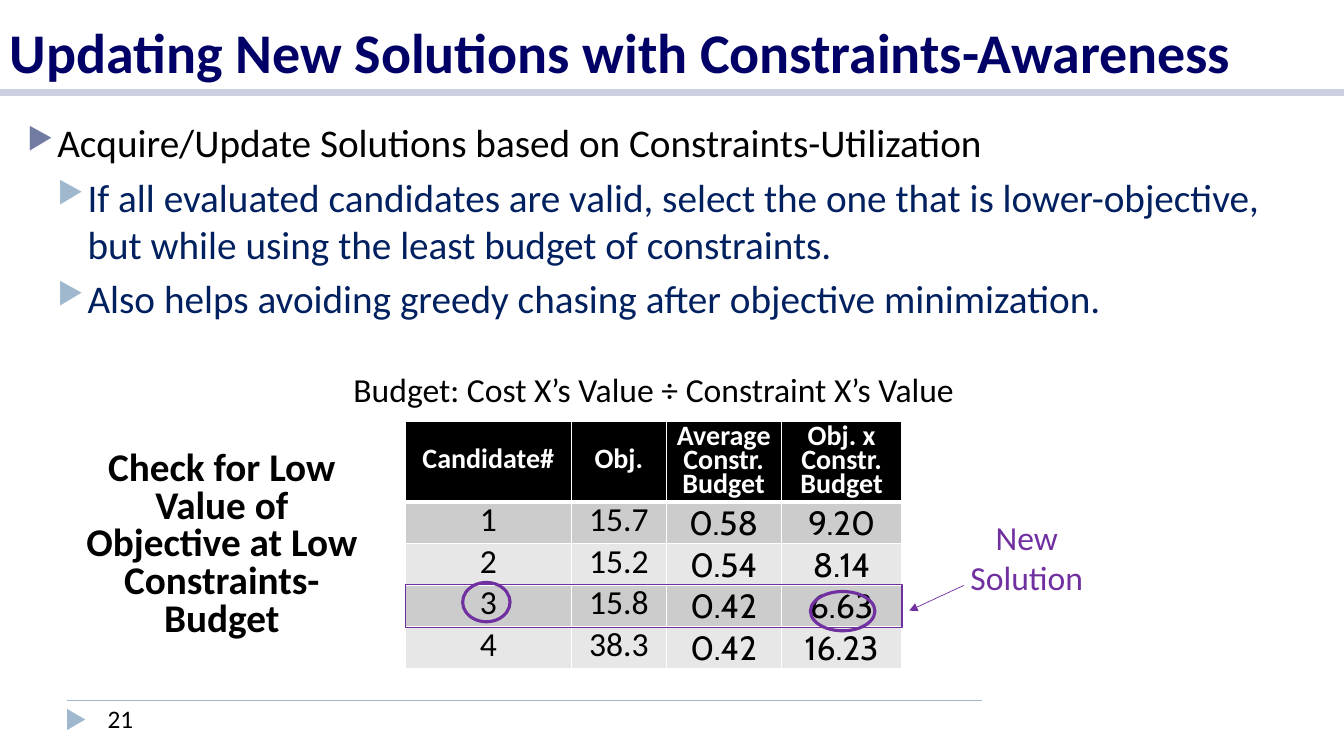
from lxml.etree import SubElement
from pptx import Presentation
from pptx.dml.color import RGBColor
from pptx.enum.shapes import MSO_CONNECTOR, MSO_SHAPE
from pptx.enum.text import MSO_ANCHOR, PP_ALIGN
from pptx.oxml.ns import qn
from pptx.util import Inches, Pt

# The slide is a grid of 40 columns by 22.5 rows of square units.
UNIT = Inches(13.33) / 40
BLACK, WHITE, PURPLE, STEEL = "000000", "FFFFFF", "7030A0", "9FB8CD"

COLUMNS = [4.95, 2.82, 3.42, 3.6]
HEADER_ROW, BODY_ROW = 2.38, 1.24
TABLE_LEFT, TABLE_TOP = 12.06, 12.54
CHOSEN_ROW = 3
HEADINGS = ["Candidate#", "Obj.", "Average\nConstr. Budget", "Obj. x Constr. Budget"]
CANDIDATES = [
    ["1", "15.7", "0.58", "9.20"],
    ["2", "15.2", "0.54", "8.14"],
    ["3", "15.8", "0.42", "6.63"],
    ["4", "38.3", "0.42", "16.23"],
]
BULLETS = [
    (0, "Acquire/Update Solutions based on Constraints-Utilization"),
    (1, "If all evaluated candidates are valid, select the one that is "
        "lower-objective, but while using the least budget of constraints."),
    (1, "Also helps avoiding greedy chasing after objective minimization."),
]
LEVEL_STYLES = [(BLACK, "727CA3"), ("002060", STEEL)]  # text and bullet colours


def grid(*units):
    return [round(unit * UNIT) for unit in units]


def color(code):
    return RGBColor.from_string(code)


def add_span(para, text, size, code=BLACK, bold=False, font="Calibri"):
    span = para.add_run()
    span.text = text
    span.font.name = font
    span.font.size = Pt(size)
    span.font.bold = bold
    span.font.color.rgb = color(code)


def add_box(page, area, wrap=True, anchor=MSO_ANCHOR.TOP):
    frame = page.shapes.add_textbox(*grid(*area)).text_frame
    frame.word_wrap = wrap
    frame.vertical_anchor = anchor
    return frame


def add_label(page, area, text, size, code=BLACK, bold=False, spacing=None,
              align=PP_ALIGN.CENTER, wrap=True, anchor=MSO_ANCHOR.TOP):
    para = add_box(page, area, wrap, anchor).paragraphs[0]
    para.alignment = align
    para.line_spacing = spacing
    for index, line in enumerate(text.split("\n")):
        if index:
            para.add_line_break()
        add_span(para, line, size, code, bold)


def add_bullet(para, level, code):
    properties = para._p.get_or_add_pPr()
    properties.set("marL", str(Inches(0.3 * (level + 1))))
    properties.set("indent", str(Inches(-0.3)))
    SubElement(SubElement(properties, qn("a:buClr")), qn("a:srgbClr"), val=code)
    SubElement(properties, qn("a:buSzPct"), val="76000")
    SubElement(properties, qn("a:buChar"), char="▶")


def add_bullets(page, area):
    frame = add_box(page, area)
    for index, (level, text) in enumerate(BULLETS):
        para = frame.add_paragraph() if index else frame.paragraphs[0]
        text_code, bullet_code = LEVEL_STYLES[level]
        add_bullet(para, level, bullet_code)
        para.level = level
        if index:
            para.space_before = Pt(5)
        add_span(para, text, 28, text_code)


def add_line(page, start, end, code, width, arrow=False):
    line = page.shapes.add_connector(MSO_CONNECTOR.STRAIGHT, *grid(*start, *end))
    line.line.color.rgb = color(code)
    line.line.width = Pt(width)
    if arrow:
        SubElement(line.line._get_or_add_ln(), qn("a:tailEnd"), type="triangle")
    SubElement(line._element.spPr, qn("a:effectLst"))


def add_figure(page, kind, area, fill=None, outline=None, width=1):
    figure = page.shapes.add_shape(kind, *grid(*area))
    figure.shadow.inherit = False
    if fill:
        figure.fill.solid()
        figure.fill.fore_color.rgb = color(fill)
    else:
        figure.fill.background()
    if outline:
        figure.line.color.rgb = color(outline)
        figure.line.width = Pt(width)
    else:
        figure.line.fill.background()
    return figure


def set_borders(cell, top, bottom):
    properties = cell._tc.get_or_add_tcPr()
    sides = [("a:lnL", 1), ("a:lnR", 1), ("a:lnT", top), ("a:lnB", bottom)]
    for position, (side, width) in enumerate(sides):
        border = properties.makeelement(qn(side), {"w": str(Pt(width))})
        SubElement(SubElement(border, qn("a:solidFill")), qn("a:srgbClr"), val=WHITE)
        properties.insert(position, border)


def fill_cell(cell, row, column, text):
    header = row == 0
    computed = not header and column >= 2
    cell.fill.solid()
    cell.fill.fore_color.rgb = color(BLACK if header else ("E7E7E7", "CCCCCC")[row % 2])
    cell.vertical_anchor = MSO_ANCHOR.MIDDLE
    if computed:
        cell.margin_left = cell.margin_right = cell.margin_top = Inches(0.01)
        cell.margin_bottom = 0
    for index, line in enumerate(text.split("\n")):
        frame = cell.text_frame
        para = frame.add_paragraph() if index else frame.paragraphs[0]
        para.alignment = PP_ALIGN.CENTER
        para.line_spacing = None if computed else 0.7
        add_span(para, line, 20 if header else 24, WHITE if header else BLACK,
                 header, "Cabin" if computed else "Calibri")
    set_borders(cell, 3 if row == 1 else 1, 3 if header else 1)


def add_candidates(page):
    rows = [HEADINGS] + CANDIDATES
    heights = [HEADER_ROW] + [BODY_ROW] * len(CANDIDATES)
    area = grid(TABLE_LEFT, TABLE_TOP, sum(COLUMNS), sum(heights))
    table = page.shapes.add_table(len(rows), len(COLUMNS), *area).table
    for column, width in zip(table.columns, grid(*COLUMNS)):
        column.width = width
    for row, height in zip(table.rows, grid(*heights)):
        row.height = height
    for row, texts in enumerate(rows):
        for column, text in enumerate(texts):
            fill_cell(table.cell(row, column), row, column, text)


def main():
    deck = Presentation()
    deck.slide_width, deck.slide_height = Inches(13.33), Inches(7.5)
    page = deck.slides.add_slide(deck.slide_layouts[6])

    add_line(page, (2, 20.85), (29.22, 20.85), STEEL, 1)
    add_line(page, (0, 2.76), (40, 2.76), "CCD0E0", 5)
    marker = add_figure(page, MSO_SHAPE.ISOSCELES_TRIANGLE,
                        (1.95, 21.15, 0.63, 0.54), fill=STEEL)
    marker.rotation = 90

    add_label(page, (0, 0, 40, 2.67), "Updating New Solutions with Constraints-Awareness",
              40, "000066", True, align=PP_ALIGN.LEFT, anchor=MSO_ANCHOR.BOTTOM)
    add_label(page, (2.91, 20.79, 4.14, 1.2), "21", 18, align=PP_ALIGN.LEFT)
    add_bullets(page, (0.51, 3.39, 37.77, 15.72))
    add_label(page, (28.56, 15.24, 4, 2.73), "New\nSolution", 24, PURPLE, wrap=False)
    add_candidates(page)

    for area in [(24.12, 17.61, 1.92, 1.17), (13.77, 17.34, 1.41, 1.17)]:
        add_figure(page, MSO_SHAPE.OVAL, area, outline=PURPLE, width=2.25)
    add_label(page, (2.13, 13.29, 8.94, 6),
              "Check for Low Value of Objective at Low Constraints-Budget",
              28, bold=True, spacing=0.8)
    add_line(page, (28.68, 17.43), (27.06, 18.18), PURPLE, 0.5, arrow=True)
    chosen_top = TABLE_TOP + HEADER_ROW + (CHOSEN_ROW - 1) * BODY_ROW
    add_figure(page, MSO_SHAPE.RECTANGLE,
               (TABLE_LEFT, chosen_top, sum(COLUMNS), 1.29), outline=PURPLE)
    add_label(page, (9.75, 11.07, 19.41, 1.29),
              "Budget: Cost X’s Value ÷ Constraint X’s Value", 24, spacing=0.8)

    deck.save("out.pptx")


if __name__ == "__main__":
    main()
